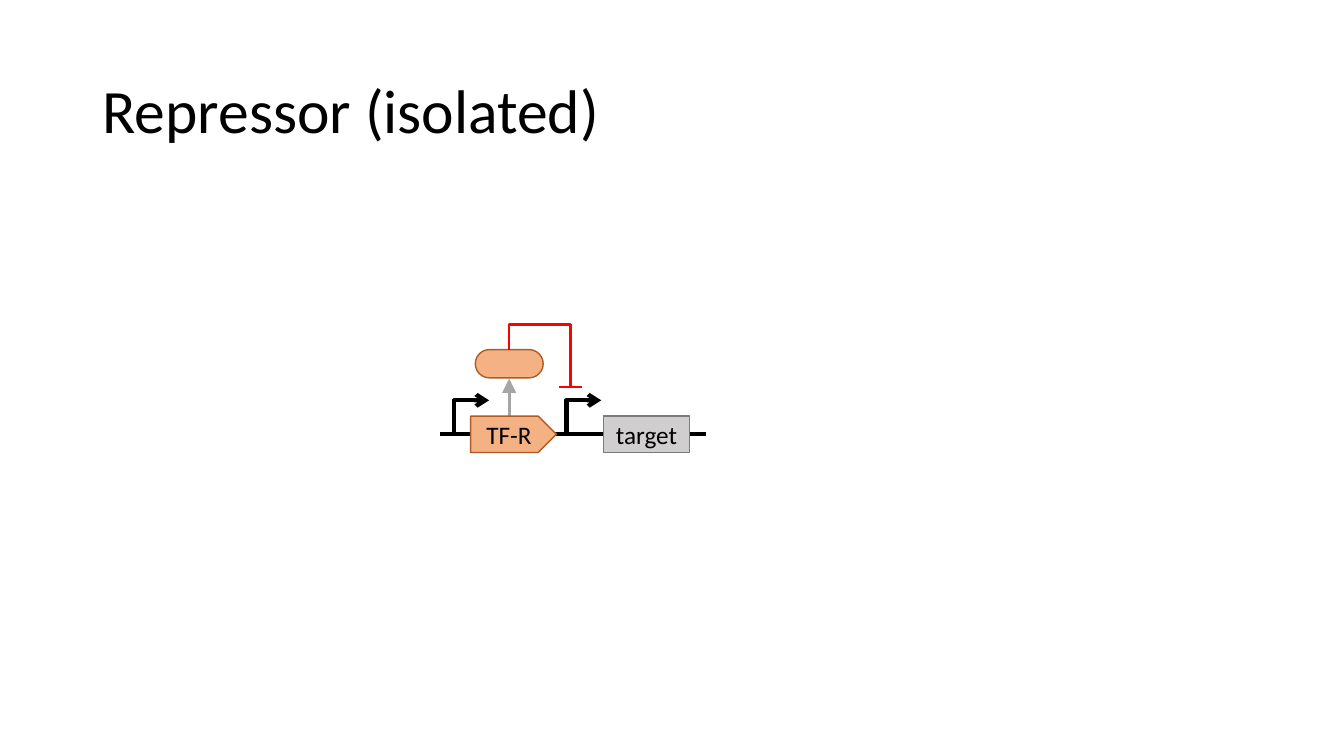
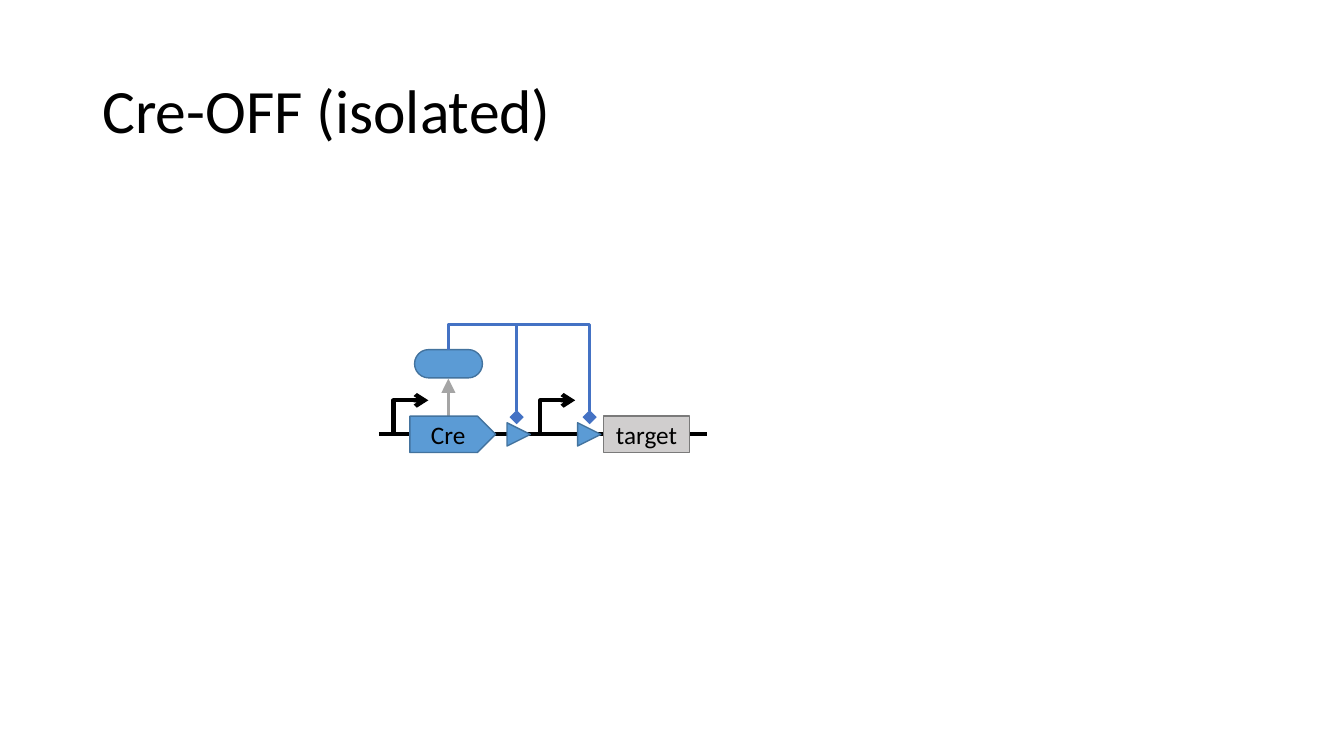
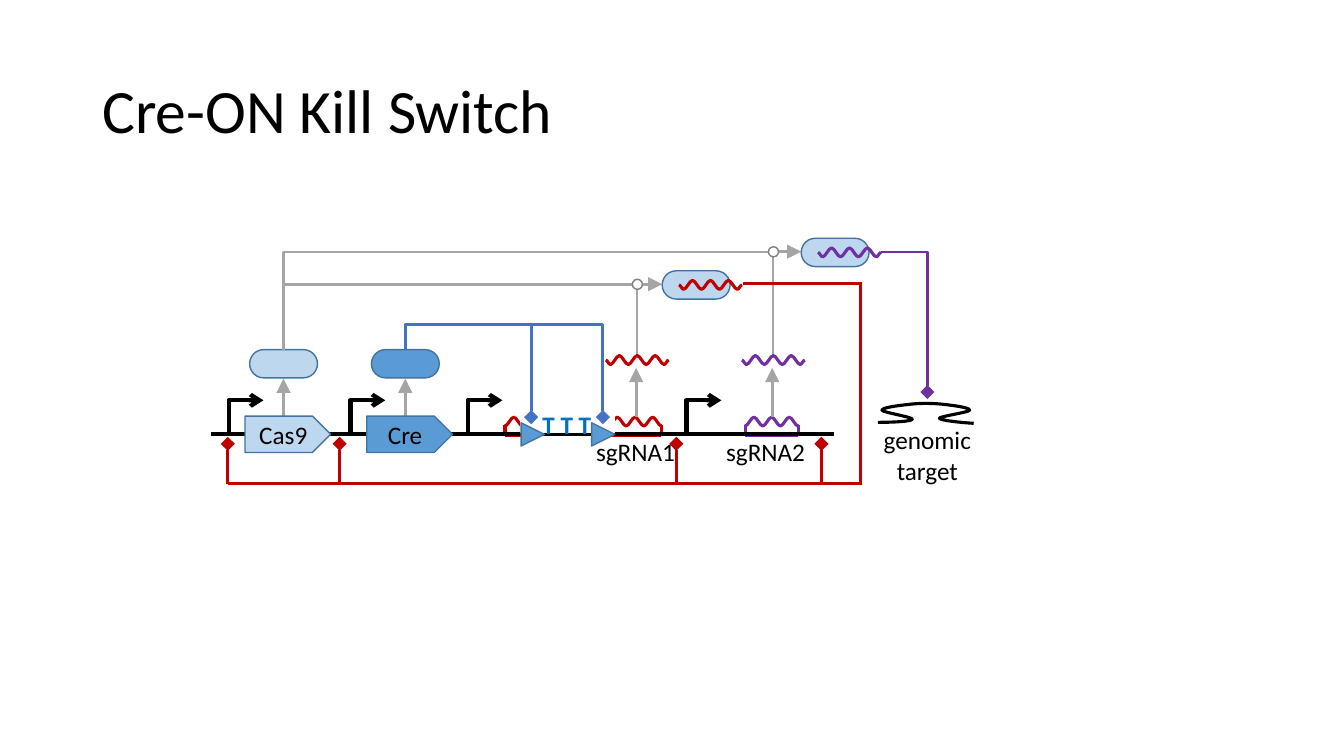
import pptx
import pptx.dml.color
import pptx.enum.shapes
import pptx.enum.text
import pptx.oxml.ns
import pptx.util
import lxml.etree

Pt = pptx.util.Pt
RGB = pptx.dml.color.RGBColor
KIND = pptx.enum.shapes.MSO_SHAPE
ALIGN = pptx.enum.text.PP_ALIGN
qn = pptx.oxml.ns.qn
add = lxml.etree.SubElement

BLACK = RGB(0x00, 0x00, 0x00)
WHITE = RGB(0xFF, 0xFF, 0xFF)
GREY = RGB(0xA5, 0xA5, 0xA5)
RING = RGB(0x80, 0x80, 0x80)
SILVER = RGB(0xD0, 0xCE, 0xCE)
STEEL = RGB(0x7A, 0x7A, 0x7A)
PEACH = RGB(0xF4, 0xB1, 0x83)
RUST = RGB(0xAF, 0x5C, 0x24)
BLUE = RGB(0x5B, 0x9B, 0xD5)
NAVY = RGB(0x43, 0x73, 0x9E)
PALE = RGB(0xBD, 0xD7, 0xEE)
ROYAL = RGB(0x44, 0x72, 0xC4)
SKY = RGB(0x00, 0x70, 0xC0)
RED = RGB(0xFF, 0x00, 0x00)
CRIMSON = RGB(0xC0, 0x00, 0x00)
PURPLE = RGB(0x70, 0x30, 0xA0)

AXIS = 310.3
TOP = 297.2
GENE = (61.2, 26)
PROTEIN = (48.5, 20.2)


def form(page, text, box, kind=None, fill=None, edge=None, size=18, color=BLACK,
         bold=False, align=ALIGN.CENTER, space=1.0):
    place = [Pt(v) for v in box]
    if kind is None:
        item = page.shapes.add_textbox(*place)
    else:
        item = page.shapes.add_shape(kind, *place)
        item.shadow.inherit = False
        item.fill.solid()
        item.fill.fore_color.rgb = fill
        item.line.color.rgb = edge
        item.line.width = Pt(1)
    if text:
        frame = item.text_frame
        frame.word_wrap = True
        frame.vertical_anchor = pptx.enum.text.MSO_ANCHOR.MIDDLE
        frame.margin_left = frame.margin_right = 0
        frame.margin_top = frame.margin_bottom = 0
        frame.text = text
        for line in frame.paragraphs:
            line.alignment = align
            line.line_spacing = space
            line.font.name = "Calibri"
            line.font.size = Pt(size)
            line.font.bold = bold
            line.font.color.rgb = color
    return item


def wire(page, points, color, width=2, tip=None, bend=None, ratios=(), turn=0):
    curved = len(points) > 2
    if curved:
        pen = page.shapes.build_freeform(*[Pt(v) for v in points[0]])
        pen.add_line_segments([(Pt(x), Pt(y)) for x, y in points[1:]], close=False)
        item = pen.convert_to_shape()
        item.fill.background()
        item.shadow.inherit = False
        steps = list(item.element.spPr.iter(qn("a:lnTo")))
        for i in range(0, len(steps), 3):
            arc = lxml.etree.Element(qn("a:cubicBezTo"))
            steps[i].addprevious(arc)
            for step in steps[i:i + 3]:
                arc.append(step[0])
                step.getparent().remove(step)
    else:
        (x, y), (r, s) = points
        if turn:
            side = 1 if turn == 90 else -1
            mid, level = (x + r) / 2, (y + s) / 2
            dx, dy = side * (y - level), side * (mid - x)
            x, y, r, s = mid + dx, level + dy, mid - dx, level - dy
        item = page.shapes.add_connector(
            pptx.enum.shapes.MSO_CONNECTOR.STRAIGHT, Pt(x), Pt(y), Pt(r), Pt(s))
    item.line.color.rgb = color
    item.line.width = Pt(width)
    props = item.element.spPr
    if bend:
        shape = props.find(qn("a:prstGeom"))
        shape.set("prst", bend)
        for i, ratio in enumerate(ratios, 1):
            add(shape.find(qn("a:avLst")), qn("a:gd"), name=f"adj{i}",
                fmla=f"val {round(ratio * 100000)}")
        props.find(qn("a:xfrm")).set("rot", str(turn * 60000))
    if tip:
        span = "med" if tip == "arrow" else "lg"
        add(props.find(qn("a:ln")), qn("a:tailEnd"), type=tip, w=span, len=span)
    if not curved:
        add(props, qn("a:effectLst"))


deck = pptx.Presentation()
deck.slide_width = Pt(960)
deck.slide_height = Pt(540)

block, flip, kill = [deck.slides.add_slide(deck.slide_layouts[6]) for i in range(3)]

humps = [(i * 6.3, -6.3 * (i % 2)) for i in range(7)]
swings = [(3.3 + i * 6.4, 3.2 - 6.4 * (i % 2)) for i in range(7)]
curves = []
for knots in (humps, [(0, 0)] + swings + [(45, 0)]):
    curve = [knots[0]]
    for (a, b), (c, d) in zip(knots, knots[1:]):
        third = (c - a) / 3
        curve += [(a + third, b), (c - third, d), (c, d)]
    curves.append(curve)
arch, ripple = curves

for color, left, base, legs in (
        (CRIMSON, 360.7, 11.5, (0,)),
        (CRIMSON, 434.7, 37.8, (0, 37.8)),
        (PURPLE, 532.3, 37.8, (0, 37.8))):
    wire(kill, [(left + x, 304.3 + y) for x, y in arch], color, 2.25)
    wire(kill, [(left, 310.7), (left + base, 310.7)], color, 2.25)
    for leg in legs:
        wire(kill, [(left + leg, 303.7), (left + leg, 311.5)], color, 2.25)

plans = [
    (block, "Repressor (isolated)", (314.6, 504), [(336.2, "TF-R", PEACH, RUST)],
     [404.6], True),
    (flip, "Cre-OFF (isolated)", (270.7, 504.7), [(292.8, "Cre", BLUE, NAVY)],
     [386], True),
    (kill, "Cre-ON Kill Switch", (150.5, 595.4),
     [(175, "Cas9", PALE, NAVY), (262, "Cre", BLUE, NAVY)], [334, 490.4], False),
]

for page, title, ends, genes, starts, target in plans:
    form(page, title, (73.2, 28.8, 813.6, 104.4), size=44, align=ALIGN.LEFT, space=0.9)
    wire(page, [(x, AXIS) for x in ends], BLACK, 3)
    for x in starts + [gene[0] - 11.7 for gene in genes]:
        wire(page, [(x - 1, 309.8), (x + 24.9, 286)], BLACK, 3, "arrow",
             "bentConnector3", (0.04,))
    for x, name, fill, edge in genes:
        wire(page, [(x + 27.5, 299.5), (x + 27.5, 270.5)], GREY, tip="triangle")
        form(page, name, (x, TOP, *GENE), KIND.PENTAGON, fill, edge)
        body = form(page, "", (x + 3.3, 249.7, *PROTEIN), KIND.ROUNDED_RECTANGLE, fill, edge)
        body.adjustments[0] = 0.5
    if target:
        goal = form(page, "target", (431.2, TOP, *GENE), KIND.PENTAGON, SILVER, STEEL)
        goal.adjustments[0] = 0

wire(block, [(363.6, 249.8), (408.2, 276.5)], RED, bend="bentConnector4",
     ratios=(-0.67, 0.99), turn=270)
wire(block, [(399.6, 276.5), (415.4, 276.5)], RED)

wire(kill, [(202.4, 249.8), (549.4, 180)], GREY, bend="bentConnector2", turn=90)
wire(kill, [(202.4, 203), (451.4, 203)], GREY)

guides = [
    ("sgRNA1", CRIMSON, 455, 203, 473, 418.3),
    ("sgRNA2", PURPLE, 552.2, 179.8, 572.3, 511.2),
]
for name, color, stem, lane, left, label in guides:
    wire(kill, [(stem - 0.6, 297.7), (stem - 0.6, 262.8)], GREY, tip="triangle")
    wire(kill, [(stem, 254), (stem, lane + 3.6)], GREY)
    wire(kill, [(stem + 1.5, lane), (left, lane)], GREY, tip="triangle")
    form(kill, "", (stem - 3.3, lane - 3.5, 7.2, 7.2), KIND.OVAL, WHITE, RING)
    body = form(kill, "", (left, lane - 9.6, *PROTEIN), KIND.ROUNDED_RECTANGLE, PALE, NAVY)
    body.adjustments[0] = 0.5
    for x, y in ((stem - 22.3, 257.2), (left + 12, lane + 0.5)):
        wire(kill, [(x + a, y + b) for a, b in ripple], color, 2.25)
    form(kill, name, (label, 308.4, 71.3, 28.8))

for ends in ([(530.6, 202.4), (614.5, 202.4)], [(614.9, 201.6), (614.9, 346.3)],
             [(162.7, 345.6), (614.9, 345.6)]):
    wire(kill, ends, CRIMSON)
for x in (162.7, 242.6, 483.1, 586.8):
    wire(kill, [(x, 345.6), (x, 317)], CRIMSON, tip="diamond")
wire(kill, [(629.3, 180), (662.4, 280)], PURPLE, tip="diamond", bend="bentConnector2")

strand = [
    (627, 301.7),
    (639.4, 301.7), (650.9, 301), (651.6, 299.5),
    (652.3, 298), (630, 294.5), (630, 293),
    (630, 291), (643.7, 289.5), (650.9, 288.7),
    (657.4, 288), (665.3, 288), (672.5, 288.7),
    (679.7, 289.5), (692.6, 291), (692.6, 293),
    (692.6, 294.5), (671, 297.4), (671, 298.8),
    (671.8, 300.2), (684, 301.7), (695.5, 302.4),
]
wire(kill, strand, BLACK, 2.25)
form(kill, "genomic\ntarget", (623.5, 299.5, 77.8, 51))

form(kill, "", (372.2, 295.2, 67, 13.7), KIND.RECTANGLE, WHITE, WHITE)
for page, trunk, sites in (
        (flip, 320.4, ((362.2, 369), (412.6, 421.2))),
        (kill, 289.4, ((372.2, 379.4), (422.6, 430.6)))):
    for left, x in sites:
        site = form(page, "", (left, 302, 16.6, 16.6), KIND.ISOSCELES_TRIANGLE, BLUE, NAVY)
        site.rotation = 90
        wire(page, [(trunk, 249.8), (x, 298)], ROYAL, tip="diamond",
             bend="bentConnector4", ratios=(-0.37, 1), turn=270)
form(kill, "T T T", (380, 288.7, 49.7, 28.8), color=SKY, bold=True)

deck.save("out.pptx")
